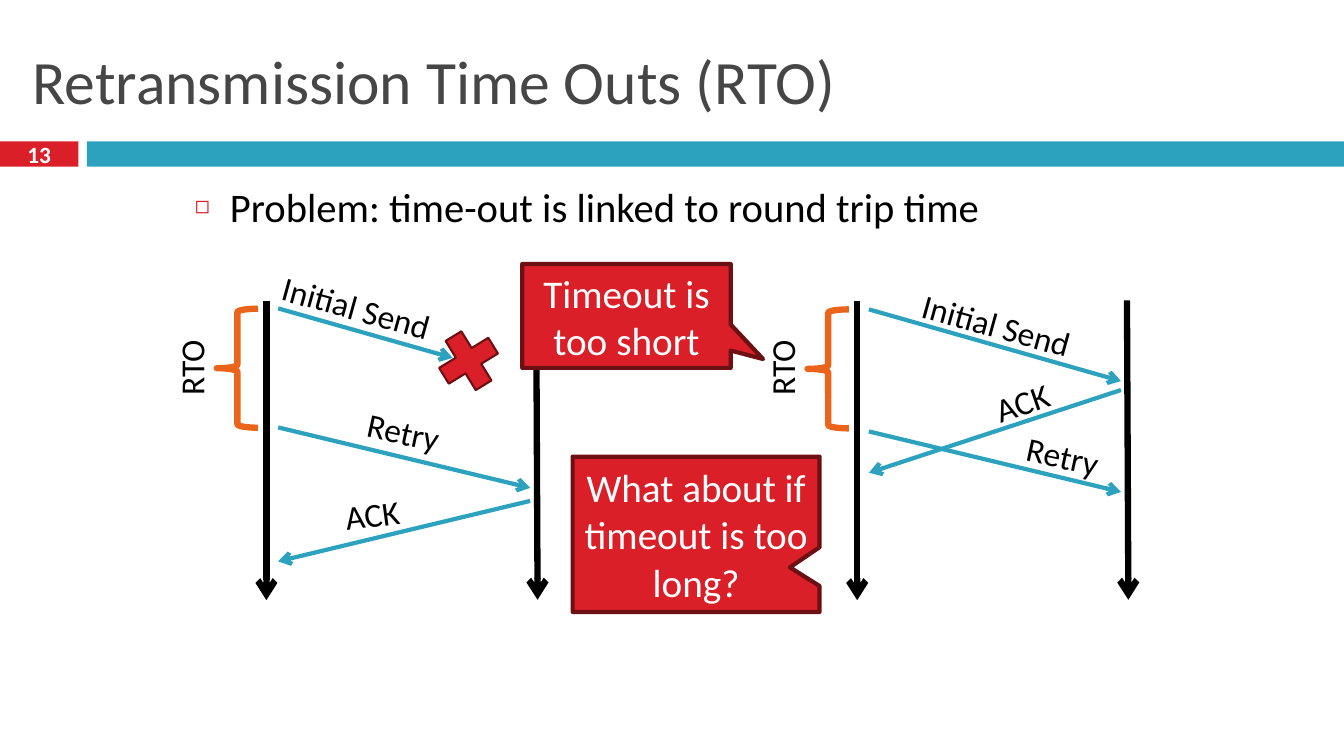
from lxml import etree
from pptx import Presentation
from pptx.dml.color import RGBColor
from pptx.enum import shapes as kinds, text as te
from pptx.oxml.ns import qn
from pptx.util import Pt

RED = RGBColor(0xDA, 0x1F, 0x28)
DARK = RGBColor(0x6D, 0x10, 0x14)
TEAL = RGBColor(0x2D, 0xA2, 0xBF)
ORANGE = RGBColor(0xEB, 0x64, 0x1B)
GRAY = RGBColor(0x46, 0x46, 0x46)
BLACK = RGBColor(0, 0, 0)
WHITE = RGBColor(255, 255, 255)
FORM = kinds.MSO_SHAPE
MID, TOP = te.MSO_ANCHOR.MIDDLE, te.MSO_ANCHOR.TOP
LEFT, CENTER = te.PP_ALIGN.LEFT, te.PP_ALIGN.CENTER


def write(shape, words, size=24, color=BLACK, align=CENTER, anchor=TOP, bold=False):
    frame = shape.text_frame
    frame.word_wrap = True
    frame.auto_size = te.MSO_AUTO_SIZE.NONE
    frame.vertical_anchor = anchor
    para = frame.paragraphs[0]
    para.alignment = align
    run = para.add_run()
    run.text = words
    run.font.name = "Calibri"
    run.font.size = Pt(size)
    run.font.bold = bold
    run.font.color.rgb = color
    return para


def arrow(x1, y1, x2, y2, color, width):
    line = slide.shapes.add_connector(
        kinds.MSO_CONNECTOR.STRAIGHT, Pt(x1), Pt(y1), Pt(x2), Pt(y2))
    line.line.color.rgb = color
    line.line.width = Pt(width)
    props = line._element.spPr
    etree.SubElement(props.find(qn("a:ln")), qn("a:tailEnd"), type="arrow")
    etree.SubElement(props, qn("a:effectLst"))


deck = Presentation()
deck.slide_width, deck.slide_height = Pt(960), Pt(540)
slide = deck.slides.add_slide(deck.slide_layouts[1])

# Title and bullet
title, body = slide.placeholders
title.left, title.top, title.width, title.height = Pt(16), Pt(18), Pt(928), Pt(78)
write(title, "Retransmission Time Outs (RTO)", size=44, color=GRAY, align=LEFT, anchor=MID)
body.left, body.top, body.width, body.height = Pt(132), Pt(126), Pt(696), Pt(131)
point = write(body, "Problem: time-out is linked to round trip time", size=29, align=LEFT)
point.space_before = Pt(7)
props = point._p.get_or_add_pPr()
props.set("marL", str(Pt(25)))
props.set("indent", str(-Pt(25)))
tint = etree.SubElement(props, qn("a:buClr"))
etree.SubElement(tint, qn("a:srgbClr"), val=str(RED))
etree.SubElement(props, qn("a:buSzPct"), val="60000")
etree.SubElement(props, qn("a:buChar"), char="◻")

# Two timing charts: each message is start x, y, end x, y,
# then its label with left, top, width and turn
NEAR, FAR, STEP = 198.7, 378.7, 422
charts = [
    [(NEAR, 220.3, 323.3, 255.6, "Initial Send", 175.7, 201.6, 157.7, 15.6),
     (FAR, 357.8, NEAR, 401, "ACK", 237.6, 349.2, 56.2, -7.8),
     (NEAR, 305.3, FAR, 348.5, "Retry", 248.4, 290.2, 79.9, 12.3)],
    [(NEAR, 221, FAR, 272.2, "Initial Send", 210.9, 213.8, 157.7, 15.6),
     (FAR, 278.6, NEAR, 337.7, "ACK", 266.3, 269.3, 83.5, -19),
     (NEAR, 308.2, FAR, 351.4, "Retry", 297.3, 307.4, 79.9, 12.3)],
]
for index, chart in enumerate(charts):
    shift = index * STEP
    arrow(190.3 + shift, 215, 190.3 + shift, 428.7, BLACK, 4.5)
    arrow(383 + shift, 214.6, 384 + shift, 428.4, BLACK, 4.5)
    for x1, y1, x2, y2, *_ in chart:
        arrow(x1 + shift, y1, x2 + shift, y2, TEAL, 3)
    labels = [item[4:] for item in chart] + [("RTO", 97.9, 244.8, 77, 270)]
    for words, x, y, wide, turn in labels:
        label = slide.shapes.add_textbox(Pt(x + shift), Pt(y), Pt(wide), Pt(36))
        label.rotation = turn
        write(label, words)

# Form, box, fill, edge, edge width, turn, adjustments, words, text size
CALL = FORM.RECTANGULAR_CALLOUT
parts = [
    (FORM.RECTANGLE, (0, 101, 56, 18), RED, None, 0, 0, (), "13", 16.6),
    (FORM.RECTANGLE, (62, 101, 898, 18), TEAL, None, 0, 0, (), "", 0),
    (FORM.LEFT_BRACE, (154.8, 220.5, 29.5, 85), None, ORANGE, 4.5, 0, (), "", 0),
    (FORM.LEFT_BRACE, (154.8 + STEP, 221, 29.5, 85), None, ORANGE, 4.5, 0, (), "", 0),
    (FORM.MATH_MULTIPLY, (306.7, 229.7, 56, 56), RED, DARK, 1.5, 13.5, (), "", 0),
    (CALL, (373, 188.6, 149, 74.2), RED, DARK, 3, 0, (0.655, 0.415),
     "Timeout is too short", 28),
    (CALL, (409, 326.2, 176.4, 110.9), RED, DARK, 3, 0, (0.38, 0.213),
     "What about if timeout is too long?", 28),
]
for form, box, fill, edge, width, turn, tips, words, size in parts:
    part = slide.shapes.add_shape(form, *map(Pt, box))
    part.shadow.inherit = False
    part.rotation = turn
    if fill is None:
        part.fill.background()
    else:
        part.fill.solid()
        part.fill.fore_color.rgb = fill
    if edge is None:
        part.line.fill.background()
    else:
        part.line.color.rgb = edge
        part.line.width = Pt(width)
    for spot, tip in enumerate(tips):
        part.adjustments[spot] = tip
    if words:
        part.text_frame.margin_top = part.text_frame.margin_bottom = 0
        write(part, words, size=size, color=WHITE, anchor=MID, bold=form == FORM.RECTANGLE)

deck.save("out.pptx")
